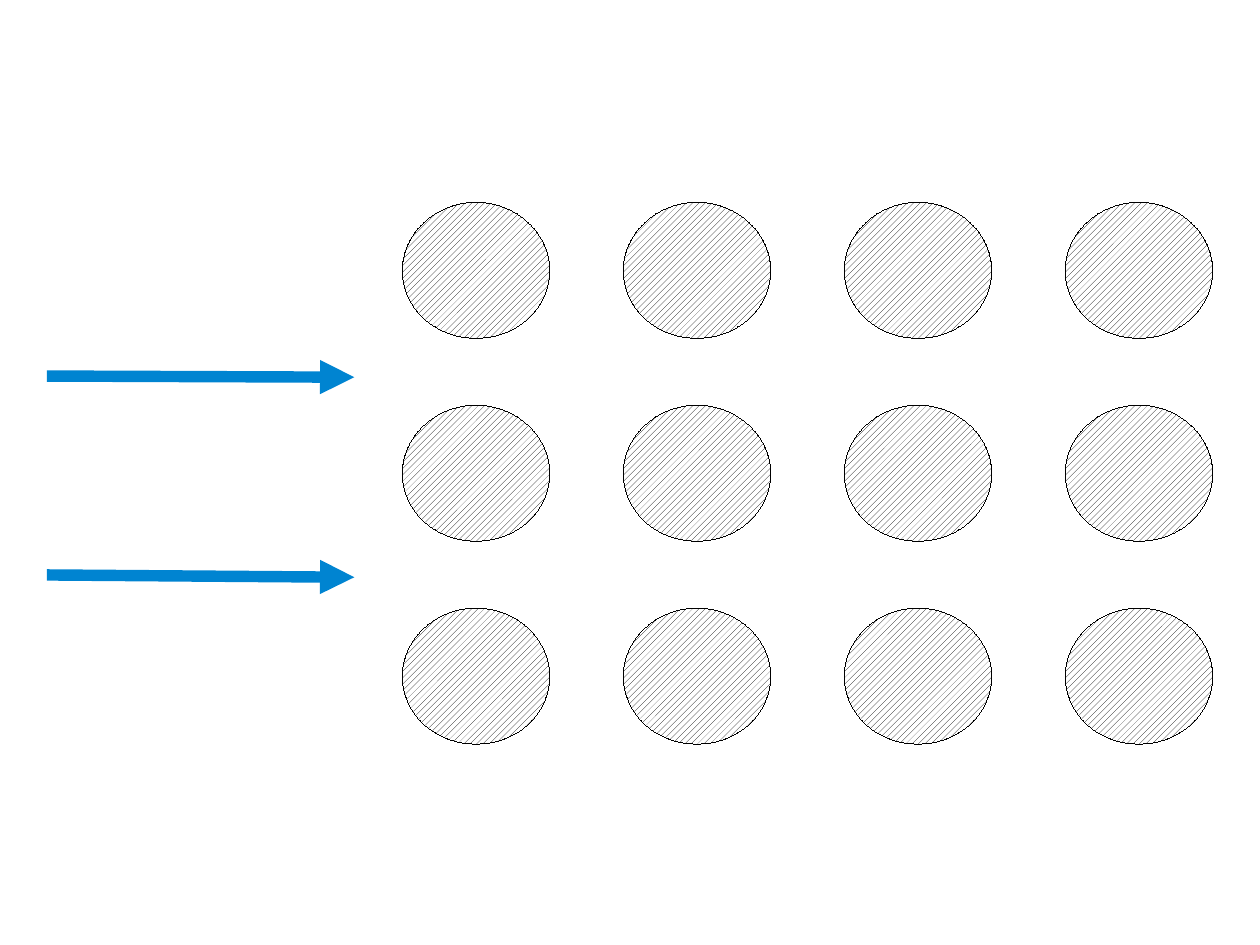
from lxml import etree
from pptx import Presentation
from pptx.dml.color import RGBColor
from pptx.enum.dml import MSO_PATTERN
from pptx.enum.shapes import MSO_CONNECTOR, MSO_SHAPE
from pptx.oxml.ns import qn
from pptx.util import Inches, Pt

OVAL = MSO_SHAPE.OVAL
HATCH = MSO_PATTERN.WIDE_UPWARD_DIAGONAL
STRAIGHT = MSO_CONNECTOR.STRAIGHT

# Content: a grid of rods and the flow that enters between its rows
COLS, ROWS = 4, 3
FLOWS = [(3.29, 3.3), (5.03, 5.05)]  # start and end height of each arrow
COLORS = {"ink": "000000", "paper": "FFFFFF", "flow": "0084D1"}

# Slide size in points, layout in inches
WIDTH, HEIGHT = 793.75, 595.25
LEFT, RIGHT = 3.52, 9.32  # left edges of the first and last column
TOP, BOTTOM = 1.77, 5.32  # top edges of the first and last row
ROD_W, ROD_H = 1.29, 1.19
STEP_X = (RIGHT - LEFT) / (COLS - 1)
STEP_Y = (BOTTOM - TOP) / (ROWS - 1)
FLOW_X = (0.41, 3.1)


def color(name):
    return RGBColor.from_string(COLORS[name])


def add_rod(group, col, row):
    rod = group.shapes.add_shape(
        OVAL, Inches(LEFT + col * STEP_X), Inches(TOP + row * STEP_Y),
        Inches(ROD_W), Inches(ROD_H))
    rod.shadow.inherit = False
    rod.fill.patterned()
    rod.fill.pattern = HATCH
    rod.fill.fore_color.rgb = color("ink")
    rod.fill.back_color.rgb = color("paper")
    rod.line.color.rgb = color("ink")
    # A hairline needs its zero width written out
    rod._element.spPr.find(qn("a:ln")).set("w", "0")


def add_flow(group, start, end):
    flow = group.shapes.add_connector(
        STRAIGHT, Inches(FLOW_X[0]), Inches(start),
        Inches(FLOW_X[1]), Inches(end))
    flow.line.color.rgb = color("flow")
    flow.line.width = Pt(7.2)
    props = flow._element.spPr
    etree.SubElement(props.find(qn("a:ln")), qn("a:tailEnd"), type="triangle")
    etree.SubElement(props, qn("a:effectLst"))


def main():
    deck = Presentation()
    deck.slide_width, deck.slide_height = Pt(WIDTH), Pt(HEIGHT)
    slide = deck.slides.add_slide(deck.slide_layouts[6])
    group = slide.shapes.add_group_shape()

    # Rods
    for row in range(ROWS):
        for col in range(COLS):
            add_rod(group, col, row)

    # Flow arrows
    for start, end in FLOWS:
        add_flow(group, start, end)

    deck.save("out.pptx")


if __name__ == "__main__":
    main()
